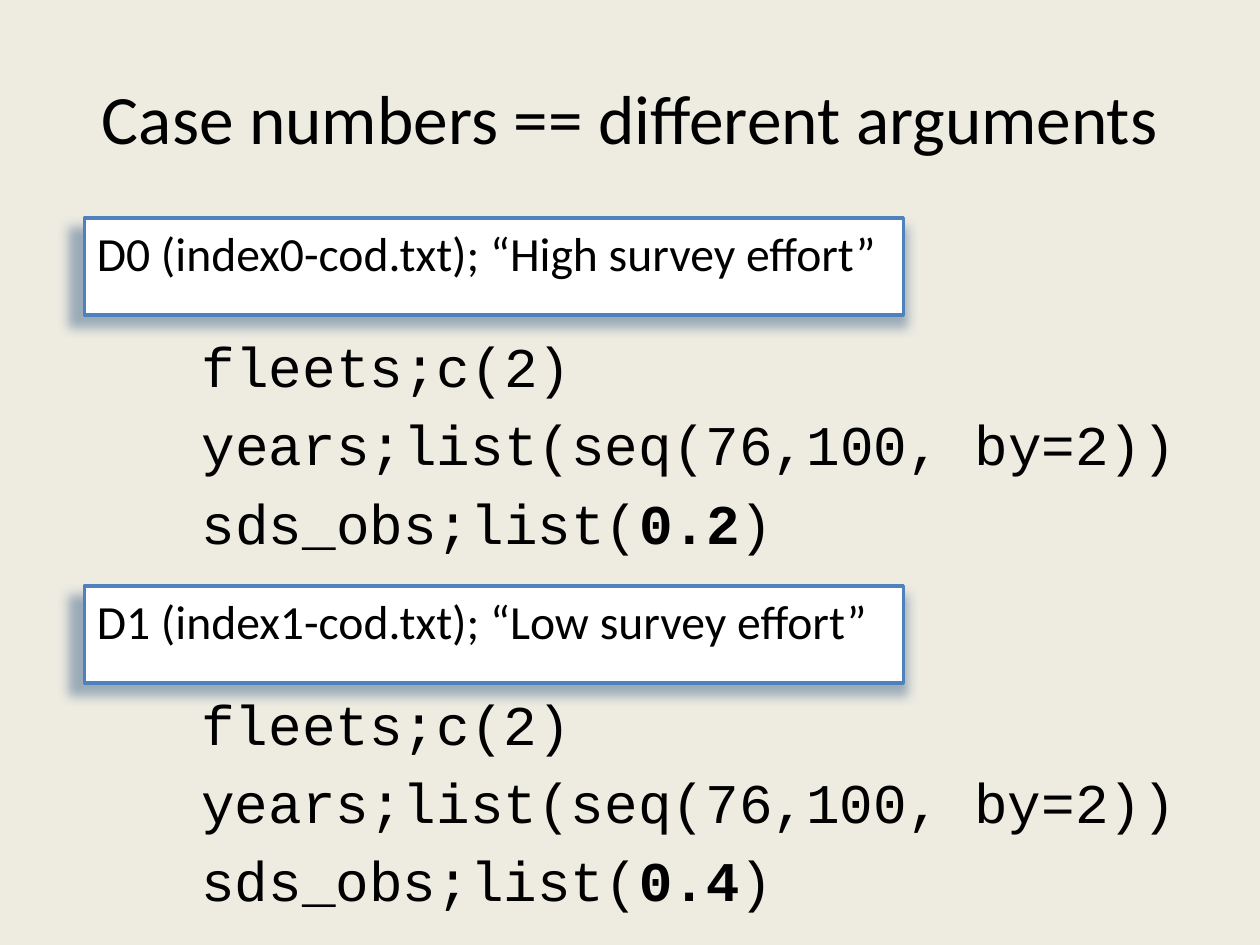
from dataclasses import dataclass

from lxml import etree
from pptx import Presentation
from pptx.dml.color import RGBColor
from pptx.enum.shapes import MSO_SHAPE
from pptx.enum.text import MSO_ANCHOR, MSO_AUTO_SIZE, PP_ALIGN
from pptx.oxml.ns import qn
from pptx.util import Inches, Pt

RECT = MSO_SHAPE.RECTANGLE
TOP, MIDDLE = MSO_ANCHOR.TOP, MSO_ANCHOR.MIDDLE
LEFT, CENTER = PP_ALIGN.LEFT, PP_ALIGN.CENTER
NO_FIT = MSO_AUTO_SIZE.NONE


@dataclass(frozen=True)
class Theme:
    """Colours, fonts and type sizes of the slide."""
    background: str = "EEECE1"
    text: str = "000000"
    panel: str = "FFFFFF"
    border: str = "4F81BD"
    shadow: str = "1F497D"
    sans: str = "Calibri"
    mono: str = "Courier New"
    title_size: float = 39.6
    label_size: float = 27.2
    code_size: float = 32


THEME = Theme()


def rgb(value):
    """Turn a hex string into a colour."""
    return RGBColor.from_string(value)


def place(sp, box):
    """Move a shape to a box given in inches."""
    sp.left, sp.top, sp.width, sp.height = map(Inches, box)


def setup_frame(sp, anchor):
    """Prepare a wrapping text frame of fixed size."""
    tf = sp.text_frame
    tf.word_wrap = True
    tf.auto_size = NO_FIT
    tf.vertical_anchor = anchor
    return tf


def add_run(p, text, font, size, bold=False):
    """Add one formatted run."""
    r = p.add_run()
    r.text = text
    r.font.name = font
    r.font.size = Pt(size)
    r.font.bold = bold
    r.font.color.rgb = rgb(THEME.text)


def format_list_paragraph(p):
    """Align left without bullet or indent, with 20% space before."""
    p.alignment = LEFT
    pPr = p._p.get_or_add_pPr()
    pPr.set("marL", "0")
    pPr.set("indent", "0")
    space = etree.SubElement(pPr, qn("a:spcBef"))
    etree.SubElement(space, qn("a:spcPct"), val="20000")
    etree.SubElement(pPr, qn("a:buNone"))


def add_shadow(sp):
    """Give a shape a soft shadow that reaches down and left."""
    effects = etree.SubElement(sp._element.spPr, qn("a:effectLst"))
    shadow = etree.SubElement(
        effects, qn("a:outerShdw"), blurRad=str(Pt(6)), dist=str(Pt(6)),
        dir=str(80 * 60000), sx="102000", algn="tr", rotWithShape="0")
    color = etree.SubElement(shadow, qn("a:srgbClr"), val=THEME.shadow)
    etree.SubElement(color, qn("a:alpha"), val="40000")


def fill_title(sp, box, text):
    """Place and fill the title."""
    place(sp, box)
    p = setup_frame(sp, MIDDLE).paragraphs[0]
    p.alignment = CENTER
    add_run(p, text, THEME.sans, THEME.title_size)


def fill_code(sp, box, deviation):
    """Place and fill the argument lines of one case."""
    place(sp, box)
    tf = setup_frame(sp, TOP)
    lines = [
        [("fleets;c(2)", False)],
        [("years;list(seq(76,100, by=2))", False)],
        [("sds_obs;list(", False), (deviation, True), (")", False)],
    ]
    for i, runs in enumerate(lines):
        p = tf.add_paragraph() if i else tf.paragraphs[0]
        format_list_paragraph(p)
        for text, bold in runs:
            add_run(p, text, THEME.mono, THEME.code_size, bold)


def add_label(slide, box, text):
    """Add the framed heading of one case."""
    sp = slide.shapes.add_shape(RECT, *map(Inches, box))
    sp.fill.solid()
    sp.fill.fore_color.rgb = rgb(THEME.panel)
    sp.line.color.rgb = rgb(THEME.border)
    sp.line.width = Pt(2)
    add_shadow(sp)
    p = setup_frame(sp, TOP).paragraphs[0]
    format_list_paragraph(p)
    add_run(p, text, THEME.sans, THEME.label_size)


def build_slide(prs):
    """Build the slide that compares the two cases."""
    slide = prs.slides.add_slide(prs.slide_layouts[1])
    slide.background.fill.solid()
    slide.background.fill.fore_color.rgb = rgb(THEME.background)
    fill_title(slide.shapes.title, (0.5, 0.3, 9, 1.25),
               "Case numbers == different arguments")
    body = slide.placeholders[1]
    extra = slide.shapes.add_textbox(0, 0, 0, 0)
    cases = [
        (body, 1.73, 2.58, "D0 (index0-cod.txt); “High survey effort”", "0.2"),
        (extra, 4.65, 5.42, "D1 (index1-cod.txt); “Low survey effort”", "0.4"),
    ]
    for code, label_top, code_top, label, deviation in cases:
        fill_code(code, (1.5, code_top, 9, 2.08), deviation)
        add_label(slide, (0.67, label_top, 6.5, 0.77), label)


def main():
    """Create and save the presentation."""
    prs = Presentation()
    prs.slide_width, prs.slide_height = Inches(10), Inches(7.5)
    build_slide(prs)
    prs.save("out.pptx")


if __name__ == "__main__":
    main()
